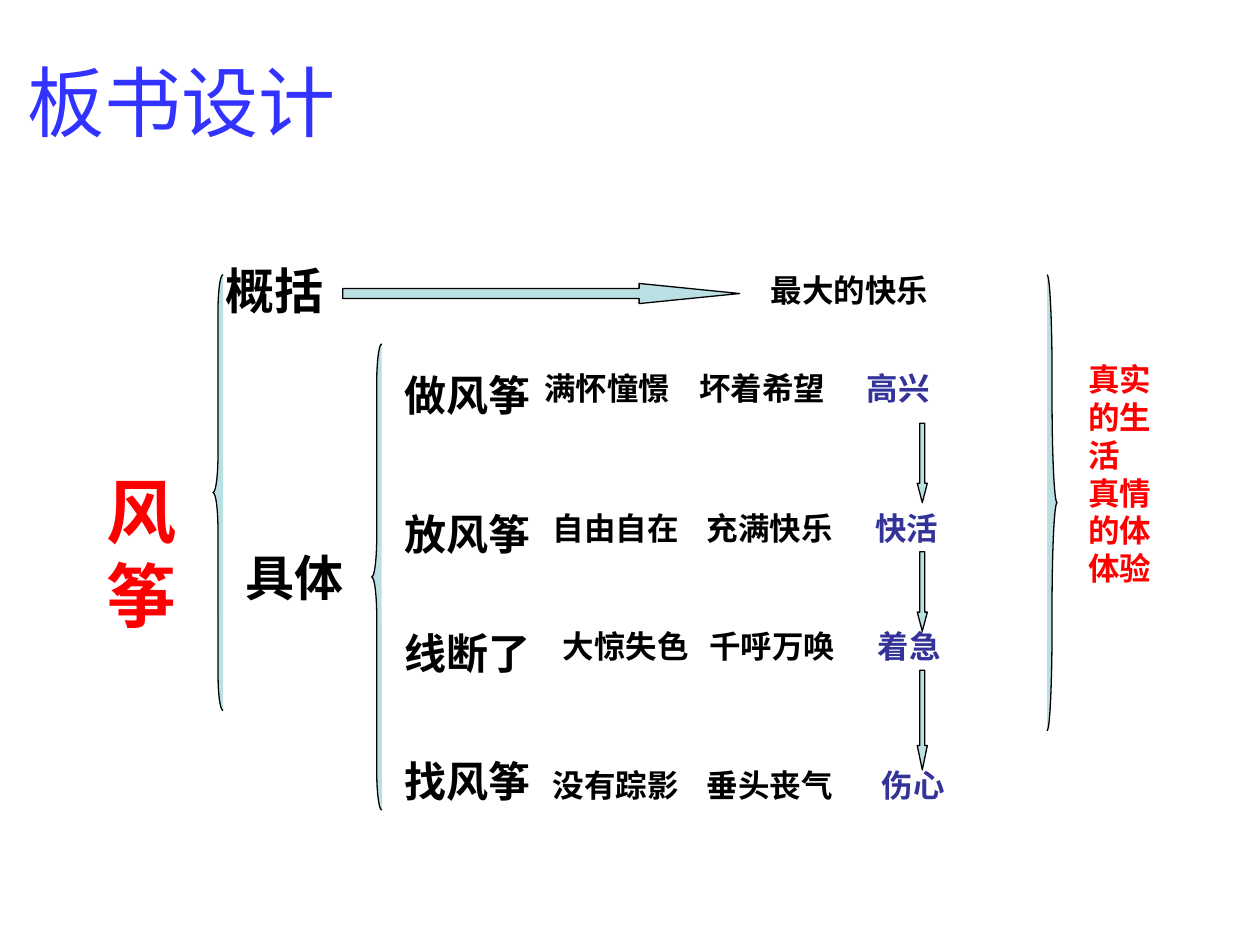
import pptx
import pptx.dml.color
import pptx.enum.shapes
import pptx.enum.text
import pptx.oxml.ns
import pptx.util
from lxml import etree

Inches = pptx.util.Inches
Pt = pptx.util.Pt
SHAPES = pptx.enum.shapes.MSO_SHAPE
ANCHORS = pptx.enum.text.MSO_ANCHOR

BLACK = "000000"
RED = "FF0000"
TITLE_BLUE = "3333FF"
MOOD_BLUE = "333399"
PALE_TEAL = "BBE0E3"


def color(hex_text):
    return pptx.dml.color.RGBColor.from_string(hex_text)


class Board:
    """Style and current slide of the blackboard plan."""

    font_name = "Arial"
    line_width = Pt(0.75)

    def __init__(self, slide):
        self.slide = slide

    def text(self, box, paragraphs, size, bold=True, tabs=(), anchor=ANCHORS.TOP):
        """Add a text box; each paragraph is a list of (text, colour) runs."""
        shape = self.slide.shapes.add_textbox(*map(Inches, box))
        frame = shape.text_frame
        frame.word_wrap = True
        frame.vertical_anchor = anchor
        for index, runs in enumerate(paragraphs):
            paragraph = frame.add_paragraph() if index else frame.paragraphs[0]
            if tabs:
                self.tab_stops(paragraph, tabs)
            for text, hex_text in runs:
                run = paragraph.add_run()
                run.text = text
                run.font.name = self.font_name
                run.font.size = Pt(size)
                run.font.bold = bold
                run.font.color.rgb = color(hex_text)

    def tab_stops(self, paragraph, positions):
        qn = pptx.oxml.ns.qn
        properties = paragraph._p.get_or_add_pPr()
        tab_list = etree.SubElement(properties, qn("a:tabLst"))
        for position in positions:
            etree.SubElement(tab_list, qn("a:tab"), pos=str(Inches(position)), algn="l")

    def outline(self, kind, box, adjustments):
        """Add a pale preset shape with a thin black line."""
        shape = self.slide.shapes.add_shape(kind, *map(Inches, box))
        for index, value in enumerate(adjustments):
            shape.adjustments[index] = value
        shape.shadow.inherit = False
        shape.fill.solid()
        shape.fill.fore_color.rgb = color(PALE_TEAL)
        shape.line.color.rgb = color(BLACK)
        shape.line.width = self.line_width

    def brace(self, kind, box, curve):
        """Add a brace whose bends are curve inches high."""
        self.outline(kind, box, (curve / box[2], 0.5))

    def arrow(self, kind, box, head):
        """Add a block arrow; head is its length over its thickness."""
        self.outline(kind, box, (0.5, head))


def main():
    presentation = pptx.Presentation()
    presentation.slide_width = Inches(10)
    presentation.slide_height = Inches(7.5)
    board = Board(presentation.slides.add_slide(presentation.slide_layouts[6]))

    # Title
    board.text((0.12, 0.21, 8.5, 1.18), [[("板书设计", TITLE_BLUE)]], 44,
               bold=False, anchor=ANCHORS.MIDDLE)

    # Topic and its two branches
    board.text((0.75, 3.67, 0.76, 1.44), [[("风筝", RED)]], 40)
    board.brace(SHAPES.LEFT_BRACE, (1.69, 2.18, 0.08, 3.46), 0.29)
    board.text((1.69, 2.02, 1.34, 0.57), [[("概括", BLACK)]], 28)
    board.text((1.85, 4.3, 1.42, 0.57), [[("具体", BLACK)]], 28)
    board.brace(SHAPES.LEFT_BRACE, (2.95, 2.73, 0.08, 3.7), 0.31)

    # Events: label top, detail left and top, tab stops, words
    events = [
        (2.88, 4.22, 2.88, (1.23, 2.56), "做风筝", "满怀憧憬", "坏着希望", "高兴"),
        (3.99, 4.29, 3.99, (1.22, 2.56), "放风筝", "自由自在", "充满快乐", "快活"),
        (4.93, 4.37, 4.93, (1.16, 2.5), "线断了", "大惊失色", "千呼万唤", "着急"),
        (5.95, 4.29, 6.03, (1.22, 2.61), "找风筝", "没有踪影", "垂头丧气", "伤心"),
    ]
    for label_top, left, top, tabs, label, first, second, mood in events:
        board.text((3.11, label_top, 1.38, 0.5), [[(label, BLACK)]], 24)
        board.text((left, top, 4, 0.4),
                   [[(f"{first}\t{second}\t", BLACK), (mood, MOOD_BLUE)]], 18, tabs=tabs)

    # Conclusion
    board.brace(SHAPES.RIGHT_BRACE, (8.31, 2.18, 0.08, 3.62), 0.82)
    board.text((8.54, 2.81, 0.82, 1.9),
               [[("真实的生活", RED)], [("真情的体体验", RED)]], 18)

    # Summary arrow
    board.text((6.02, 2.1, 1.89, 0.4), [[("最大的快乐", BLACK)]], 18)
    board.arrow(SHAPES.RIGHT_ARROW, (2.72, 2.25, 3.15, 0.16), 4.99)

    # Arrows from mood to mood
    for top, height, head in [(3.36, 0.63, 1.93), (4.38, 0.63, 1.89), (5.32, 0.79, 2.42)]:
        board.arrow(SHAPES.DOWN_ARROW, (7.28, top, 0.08, height), head)

    presentation.save("out.pptx")


if __name__ == "__main__":
    main()
